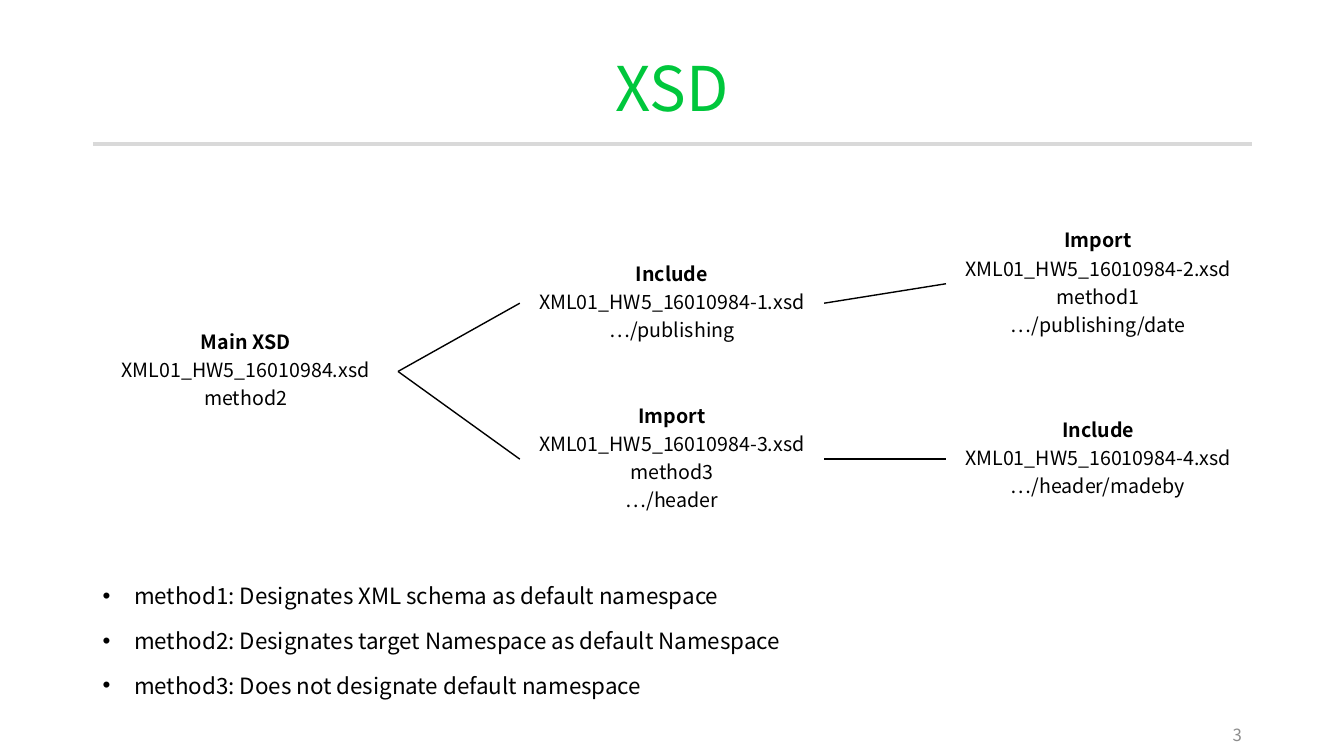
from lxml import etree
from pptx import Presentation
from pptx.dml.color import RGBColor
from pptx.enum.shapes import MSO_CONNECTOR, MSO_SHAPE
from pptx.enum.text import MSO_ANCHOR, PP_ALIGN
from pptx.oxml.ns import qn
from pptx.util import Cm, Pt

FONT = "Noto Sans CJK KR"
LEFT, WIDTH = 2.34, 29.21
CARD_WIDTH, CARD_HEIGHT, COLUMN_STEP = 7.67, 3.84, 10.74

SCHEMAS = {
    "main": (0, 9.36, ["Main XSD", "XML01_HW5_16010984.xsd", "method2"]),
    "publishing": (1, 7.64, ["Include", "XML01_HW5_16010984-1.xsd", "…/publishing"]),
    "date": (2, 7.15, ["Import", "XML01_HW5_16010984-2.xsd", "method1", "…/publishing/date"]),
    "header": (1, 11.57, ["Import", "XML01_HW5_16010984-3.xsd", "method3", "…/header"]),
    "madeby": (2, 11.57, ["Include", "XML01_HW5_16010984-4.xsd", "…/header/madeby"]),
}
LINKS = [("main", "publishing"), ("publishing", "date"), ("main", "header"), ("header", "madeby")]
METHODS = [
    "method1: Designates XML schema as default namespace",
    "method2: Designates target Namespace as default Namespace",
    "method3: Does not designate default namespace",
]


def color(value):
    return RGBColor.from_string(value)


def style(para, size, shade, align=PP_ALIGN.LEFT, spacing=1.0, after=0, bold=False):
    para.alignment = align
    para.line_spacing = spacing
    para.space_after = Pt(after)
    for span in para.runs:
        span.font.name = FONT
        span.font.size = Pt(size)
        span.font.bold = bold
        span.font.color.rgb = color(shade)
        east_asian = etree.SubElement(span.font._element, qn("a:ea"))
        east_asian.set("typeface", FONT)


def add_text(page, left, top, width, height, text, anchor=MSO_ANCHOR.MIDDLE):
    box = page.shapes.add_textbox(Cm(left), Cm(top), Cm(width), Cm(height))
    box.text_frame.word_wrap = True
    box.text_frame.vertical_anchor = anchor
    box.text_frame.text = text
    return box.text_frame.paragraphs


def add_line(page, start, end, shade, weight):
    points = [Cm(value) for value in (*start, *end)]
    line = page.shapes.add_connector(MSO_CONNECTOR.STRAIGHT, *points)
    line.line.color.rgb = color(shade)
    line.line.width = Pt(weight)
    etree.SubElement(line._element.spPr, qn("a:effectLst"))


def add_heading(page, left, top, width, height):
    add_line(page, (left, top + height), (left + width, top + height), "D9D9D9", 3)
    para = add_text(page, left, top, width, height, "XSD")[0]
    style(para, 44, "00C73C", PP_ALIGN.CENTER, 0.9)


def add_card(page, left, middle, lines):
    card = page.shapes.add_shape(
        MSO_SHAPE.ROUNDED_RECTANGLE,
        Cm(left), Cm(middle - CARD_HEIGHT / 2), Cm(CARD_WIDTH), Cm(CARD_HEIGHT),
    )
    card.adjustments[0] = 0.1
    card.shadow.inherit = False
    card.fill.solid()
    card.fill.fore_color.rgb = color("FFFFFF")
    card.line.fill.background()
    frame = card.text_frame
    frame.word_wrap = True
    frame.vertical_anchor = MSO_ANCHOR.MIDDLE
    frame.margin_left = frame.margin_right = Cm(0.03)
    frame.margin_top = frame.margin_bottom = Cm(0.03)
    frame.text = "\n".join(lines)
    for index, para in enumerate(frame.paragraphs):
        style(para, 14, "000000", PP_ALIGN.CENTER, 0.9, 4.9, bold=index == 0)


def add_tree(page, left):
    columns = [left + step * COLUMN_STEP for step in range(3)]
    for column, middle, lines in SCHEMAS.values():
        add_card(page, columns[column], middle, lines)
    for parent, child in LINKS:
        parent_column, parent_middle, _ = SCHEMAS[parent]
        child_column, child_middle, _ = SCHEMAS[child]
        start = (columns[parent_column] + CARD_WIDTH, parent_middle)
        add_line(page, start, (columns[child_column], child_middle), "000000", 1)


def add_methods(page, left, top, width, height):
    for para in add_text(page, left, top, width, height, "\n".join(METHODS), MSO_ANCHOR.TOP):
        properties = para._p.get_or_add_pPr()
        properties.set("marL", str(Cm(0.79)))
        properties.set("indent", str(Cm(-0.79)))
        etree.SubElement(properties, qn("a:buFont")).set("typeface", "Arial")
        etree.SubElement(properties, qn("a:buChar")).set("char", "•")
        style(para, 16, "000000", spacing=1.25, after=8)


def add_page_number(page, left, top, width, height):
    para = add_text(page, left, top, width, height, "3")[0]
    style(para, 12, "8C8C8C", PP_ALIGN.RIGHT)


def main():
    deck = Presentation()
    deck.slide_width, deck.slide_height = Cm(33.87), Cm(19.05)
    page = deck.slides.add_slide(deck.slide_layouts[6])
    add_heading(page, LEFT, 1.02, WIDTH, 2.6)
    add_tree(page, 2.36)
    add_methods(page, LEFT, 14.38, WIDTH, 3.33)
    add_page_number(page, 23.93, 18.01, 7.62, 1.02)
    deck.save("out.pptx")


if __name__ == "__main__":
    main()
